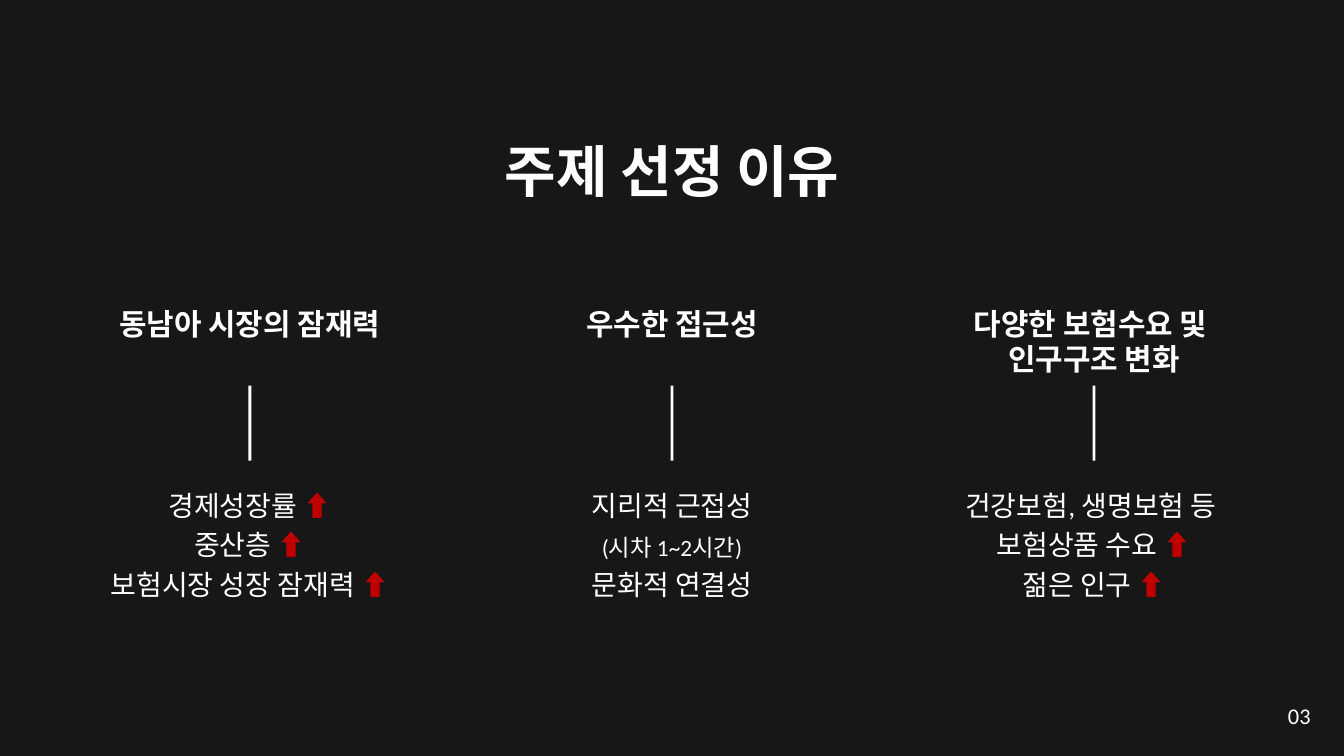
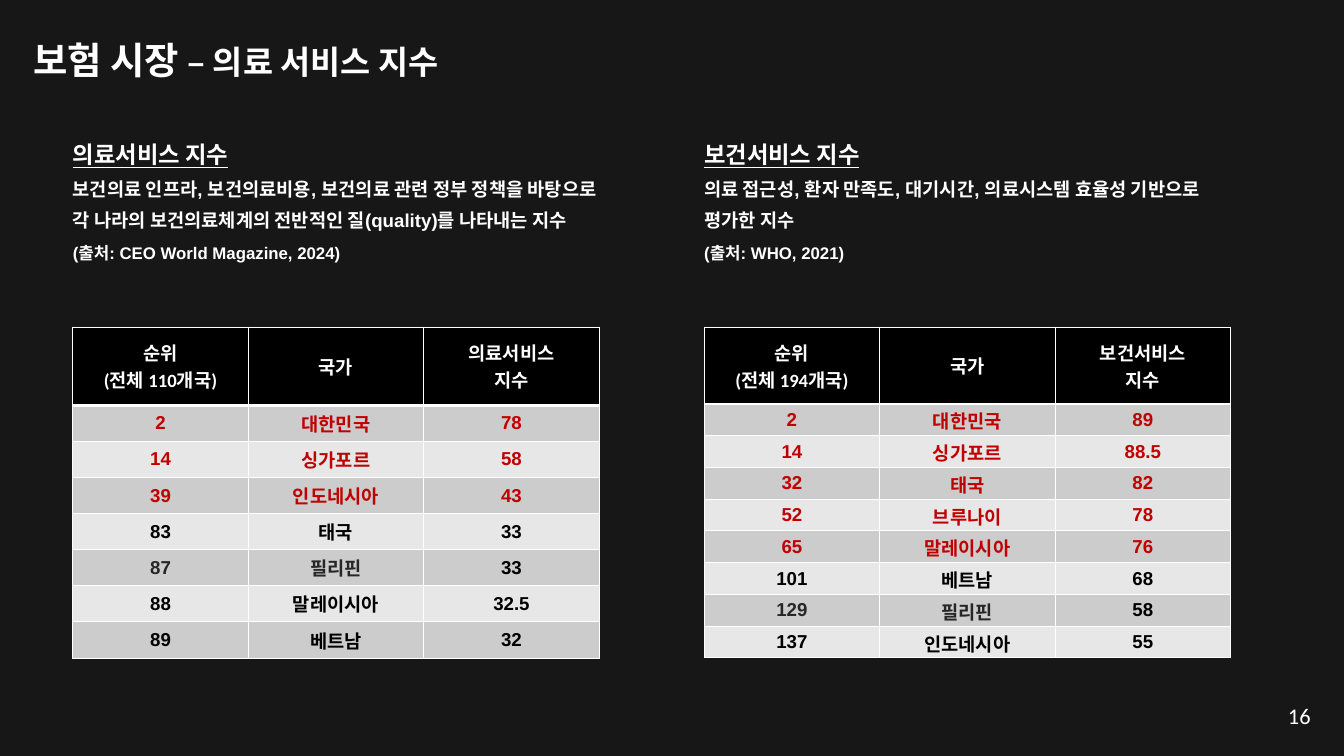
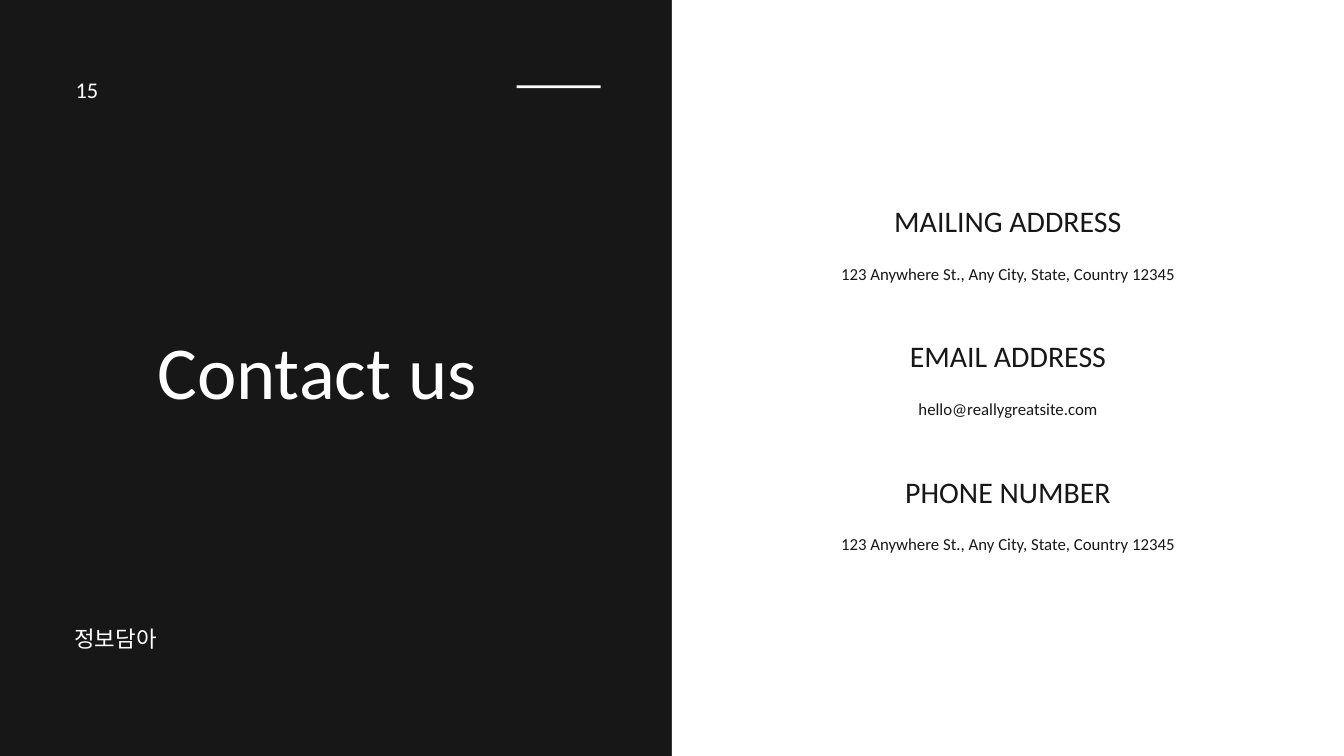
import lxml.etree
import pptx
import pptx.dml.color
import pptx.enum.shapes
import pptx.enum.text
import pptx.oxml.ns
import pptx.util

SCALE = 9525  # EMU in one px
WIDE, HIGH = 1920, 1080
HUES = {
    "dark": "171717", "white": "FFFFFF", "black": "000000", "red": "C00000",
    "gray": "262626", "odd": "CCCCCC", "even": "E7E7E7",
}
ALIGN = pptx.enum.text.PP_ALIGN
UP = ("⬆", {"hue": "red"})
PAIR, FOUR, TITLE = 3, 4, 5  # layouts of the template

REASONS = [
    (["동남아 시장의 잠재력"],
     [["경제성장률 ", UP], ["중산층 ", UP], ["보험시장 성장 잠재력 ", UP]]),
    (["우수한 접근성"],
     ["지리적 근접성", [("(시차 1~2시간)", {"size": 25})], "문화적 연결성"]),
    (["다양한 보험수요 및 ", "인구구조 변화"],
     ["건강보험, 생명보험 등 ", ["보험상품 수요 ", UP], ["젊은 인구 ", UP]]),
]

# left, head height, index name, countries ranked, red rows, notes, ranking
INDEXES = [
    (104, 112, "의료서비스", 110, 3,
     ["보건의료 인프라, 보건의료비용, 보건의료 관련 정부 정책을 바탕으로 "
      "각 나라의 보건의료체계의 전반적인 질(quality)를 나타내는 지수",
      "(출처: CEO World Magazine, 2024)"],
     [("2", "대한민국", "78"), ("14", "싱가포르", "58"),
      ("39", "인도네시아", "43"), ("83", "태국", "33"),
      ("87", "필리핀", "33"), ("88", "말레이시아", "32.5"),
      ("89", "베트남", "32")]),
    (1006, 110, "보건서비스", 194, 5,
     ["의료 접근성, 환자 만족도, 대기시간, 의료시스템 효율성 기반으로 평가한 지수",
      "(출처: WHO, 2021)"],
     [("2", "대한민국", "89"), ("14", "싱가포르", "88.5"),
      ("32", "태국", "82"), ("52", "브루나이", "78"),
      ("65", "말레이시아", "76"), ("101", "베트남", "68"),
      ("129", "필리핀", "58"), ("137", "인도네시아", "55")]),
]

CONTACTS = [
    ("MAILING ADDRESS", "123 Anywhere St., Any City, State, Country 12345"),
    ("EMAIL ADDRESS", "hello@reallygreatsite.com"),
    ("PHONE NUMBER", "123 Anywhere St., Any City, State, Country 12345"),
]


def px(size):
    return pptx.util.Emu(round(size * SCALE))


def rgb(hue):
    return pptx.dml.color.RGBColor.from_string(HUES[hue])


def paint(fill, hue):
    fill.solid()
    fill.fore_color.rgb = rgb(hue)


def style(font, size=24, face="Calibri", hue="white", bold=False, under=False):
    font.size = pptx.util.Pt(size)
    font.name = face
    font.color.rgb = rgb(hue)
    font.bold = bold
    font.underline = under


def write(frame, paras, align=ALIGN.LEFT, line=None, **look):
    """Fill a frame; a paragraph is a string or a list of strings and (text, look) runs."""
    for i, runs in enumerate(paras):
        para = frame.add_paragraph() if i else frame.paragraphs[0]
        para.alignment = align
        para.space_before = pptx.util.Pt(0)
        if line:
            para.line_spacing = pptx.util.Pt(line)
        for run in [runs] if isinstance(runs, str) else runs:
            words, extra = (run, {}) if isinstance(run, str) else run
            part = para.add_run()
            part.text = words
            style(part.font, **{**look, **extra})


def text(slide, box, paras, hold=None, **look):
    """Write into a placeholder moved to box, or into a new text box."""
    spot = [px(n) for n in box]
    shape = hold or slide.shapes.add_textbox(*spot)
    shape.left, shape.top, shape.width, shape.height = spot
    frame = shape.text_frame
    frame.margin_left = frame.margin_right = 0
    frame.margin_top = frame.margin_bottom = 0
    frame.word_wrap = True
    frame.auto_size = pptx.enum.text.MSO_AUTO_SIZE.SHAPE_TO_FIT_TEXT
    frame.vertical_anchor = pptx.enum.text.MSO_ANCHOR.TOP
    write(frame, paras, **look)
    if hold:
        for para in frame.paragraphs:
            props = para._p.get_or_add_pPr()
            props.set("marL", "0")
            props.set("indent", "0")
            lxml.etree.SubElement(props, pptx.oxml.ns.qn("a:buNone"))


def title(slide, box, runs, **look):
    text(slide, box, [runs], hold=slide.shapes.title, line=78.4, **look)


def label(slide, box, words):
    text(slide, box, [words], line=33.6)


def page(slide, number):
    label(slide, (1840, 996, 44, 44), number)


def block(slide, *box):
    """Add a plain white rectangle."""
    kind = pptx.enum.shapes.MSO_SHAPE.RECTANGLE
    shape = slide.shapes.add_shape(kind, *[px(n) for n in box])
    shape.shadow.inherit = False
    paint(shape.fill, "white")
    shape.line.fill.background()


def edge(cell, top=1, foot=1):
    """Draw white cell borders, with widths in points."""
    props = cell._tc.get_or_add_tcPr()
    for side, width in (("L", 1), ("R", 1), ("T", top), ("B", foot)):
        line = lxml.etree.SubElement(props, pptx.oxml.ns.qn("a:ln" + side))
        line.set("w", str(pptx.util.Pt(width)))
        fill = lxml.etree.SubElement(line, pptx.oxml.ns.qn("a:solidFill"))
        tone = lxml.etree.SubElement(fill, pptx.oxml.ns.qn("a:srgbClr"))
        tone.set("val", HUES["white"])


def tint(row, col, reds, name):
    if row <= reds:
        return "red"
    return "gray" if name == "필리핀" and col < 2 else "black"


def grid(slide, box, top, heads, ranks, reds):
    """Add a ranking table whose head row is top px high."""
    frame = slide.shapes.add_table(len(ranks) + 1, 3, *[px(n) for n in box])
    table = frame.table
    for col in table.columns:
        col.width = px(box[2] / 3)
    for i, cells in enumerate([heads] + ranks):
        table.rows[i].height = px((box[3] - top) / len(ranks) if i else top)
        for j, words in enumerate(cells):
            cell = table.cell(i, j)
            edge(cell, top=3 if i == 1 else 1, foot=1 if i else 3)
            cell.vertical_anchor = pptx.enum.text.MSO_ANCHOR.MIDDLE
            if i:
                paint(cell.fill, "odd" if i % 2 else "even")
                look = {"face": "Arial", "hue": tint(i, j, reds, cells[1])}
            else:
                paint(cell.fill, "black")
                look = {}
            write(cell.text_frame, words.split("\n"), align=ALIGN.CENTER,
                  size=20, bold=True, **look)


def start(deck, layout):
    """Add a dark slide; return it with its body placeholders."""
    slide = deck.slides.add_slide(deck.slide_layouts[layout])
    paint(slide.background.fill, "dark")
    return slide, list(slide.placeholders)[1:]


def reasons(deck):
    slide, holds = start(deck, FOUR)
    title(slide, (319, 186, 1282, 97), "주제 선정 이유", align=ALIGN.CENTER,
          size=60, face="Arial", bold=True)
    for i, (head, points) in enumerate(REASONS):
        mid = 357 + 603 * i
        text(slide, (mid - 249, 436, 498, 51 * len(head)), head,
             align=ALIGN.CENTER, line=38.4, size=32, bold=True)
        text(slide, (mid - 218, 690, 436, 167), points, hold=holds[i],
             align=ALIGN.CENTER, line=42, size=30)
        block(slide, mid - 2, 551, 4, 107)
    for spare in holds[len(REASONS):]:
        spare._element.getparent().remove(spare._element)
    page(slide, "03")


def indexes(deck):
    slide, holds = start(deck, PAIR)
    title(slide, (48, 12, 776, 94),
          ["보험 시장 ", ("– 의료 서비스 지수", {"size": 35})], size=40, bold=True)
    for hold, (left, top, name, total, reds, notes, ranks) in zip(holds, INDEXES):
        about, source = notes
        text(slide, (left, 196, 752, 200),
             [[(name + " 지수", {"size": 25, "under": True})], about,
              [(source, {"size": 18})]],
             hold=hold, line=33.6, size=20, face="Arial", bold=True)
        heads = (f"순위\n(전체 {total}개국)", "국가", name + "\n지수")
        grid(slide, (left, 467, 752, 473), top, heads, ranks, reds)
    page(slide, "16")


def contact(deck):
    slide, _ = start(deck, TITLE)
    block(slide, WIDE // 2, 0, WIDE // 2, HIGH)
    block(slide, 738, 122, 120, 4)
    label(slide, (108, 103, 160, 42), "15")
    label(slide, (106, 886, 358, 43), "정보담아")
    title(slide, (108, 488, 690, 109), "Contact us", align=ALIGN.CENTER, size=80)
    for i, (head, value) in enumerate(CONTACTS):
        top = 290 + 193 * i
        text(slide, (1133, top, 614, 50), [head], align=ALIGN.CENTER,
             line=38.4, size=32, hue="dark")
        text(slide, (1133, top + 82, 614, 31), [value], align=ALIGN.CENTER,
             line=25.2, size=18, hue="dark")


def main():
    deck = pptx.Presentation()
    deck.slide_width, deck.slide_height = px(WIDE), px(HIGH)
    reasons(deck)
    indexes(deck)
    contact(deck)
    deck.save("out.pptx")


if __name__ == "__main__":
    main()
